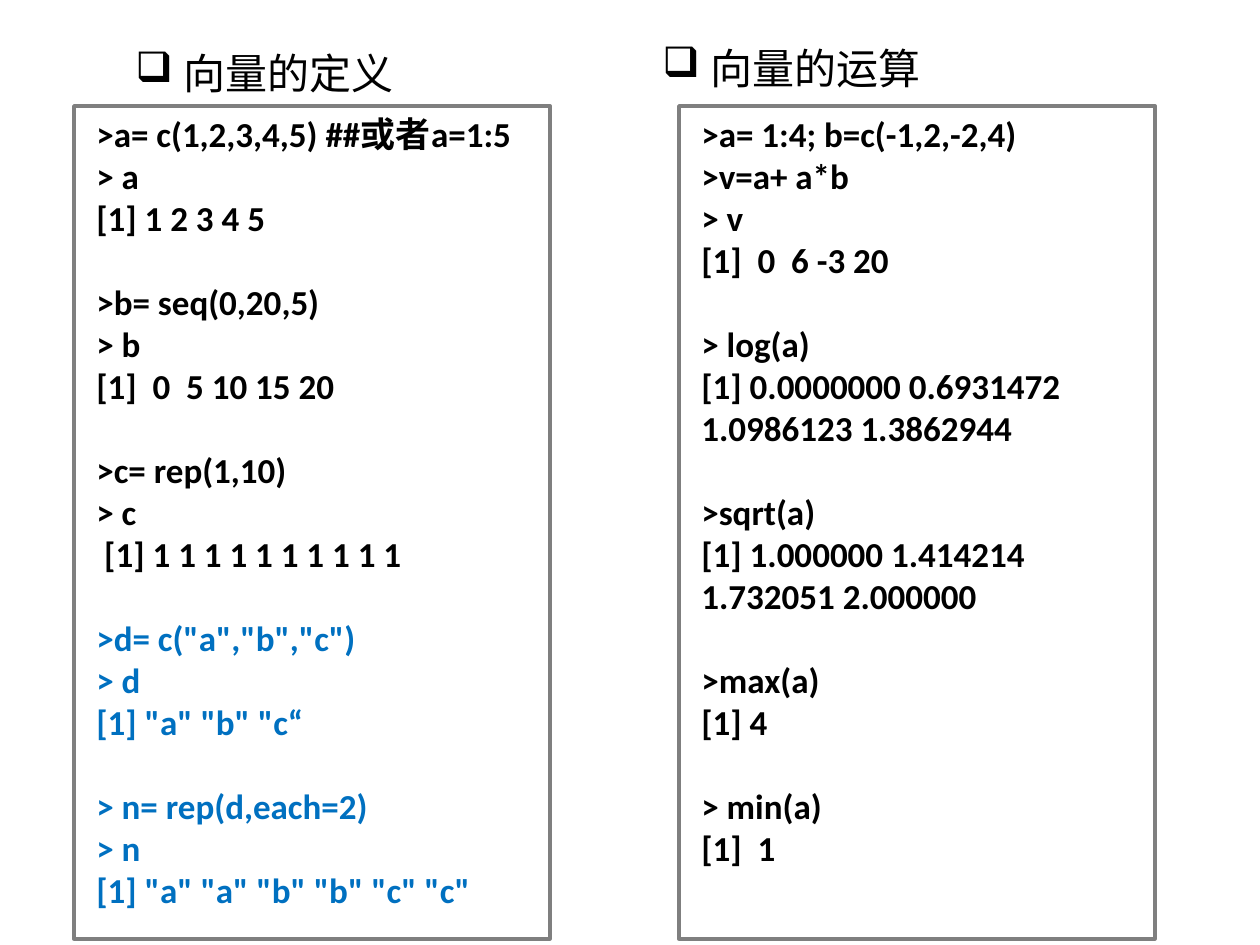
"""Build a slide that pairs vector definitions with vector operations in R."""
from dataclasses import dataclass

from lxml import etree
from pptx import Presentation
from pptx import util as u
from pptx.dml.color import RGBColor
from pptx.enum import shapes, text
from pptx.oxml.ns import qn

EMU_PER_PX = 914400 / 126
COLORS = {"ink": "000000", "accent": "0070C0", "frame": "7F7F7F"}
CODE_FORMAT = {"name": "Calibri", "size": u.Pt(20), "bold": True}
HEADING_FORMAT = {"name": "Courier New", "size": u.Pt(24), "bold": False}
GROUP_GAP = u.Pt(24)
FRAME_TOP, FRAME_WIDTH, FRAME_HEIGHT = 106, 476, 833
CODE_OFFSET = 10
HEADING_WIDTH, HEADING_HEIGHT, HEADING_INDENT = 446, 93, 48


@dataclass
class Group:
    lines: list[str]
    color: str = "ink"


@dataclass
class Panel:
    heading: str
    heading_left: int
    heading_top: int
    frame_left: int
    code_height: int
    groups: list[Group]


PANELS = [
    Panel("向量的定义", 123, 11, 74, 811, [
        Group([">a= c(1,2,3,4,5) ##或者a=1:5", "> a", "[1] 1 2 3 4 5"]),
        Group([">b= seq(0,20,5)", "> b", "[1]  0  5 10 15 20"]),
        Group([">c= rep(1,10)", "> c", " [1] 1 1 1 1 1 1 1 1 1 1"]),
        Group(['>d= c("a","b","c")', "> d", '[1] "a" "b" "c“'], "accent"),
        Group(["> n= rep(d,each=2)", "> n", '[1] "a" "a" "b" "b" "c" "c"'], "accent"),
    ]),
    Panel("向量的运算", 650, 6, 679, 770, [
        Group([">a= 1:4; b=c(-1,2,-2,4)", ">v=a+ a*b", "> v", "[1]  0  6 -3 20"]),
        Group(["> log(a)", "[1] 0.0000000 0.6931472 1.0986123 1.3862944"]),
        Group([">sqrt(a)", "[1] 1.000000 1.414214 1.732051 2.000000"]),
        Group([">max(a)", "[1] 4"]),
        Group(["> min(a)", "[1]  1"]),
    ]),
]


def px(length: int) -> u.Emu:
    return u.Emu(round(length * EMU_PER_PX))


def rgb(color: str) -> RGBColor:
    return RGBColor.from_string(COLORS[color])


def add_text_frame(slide, left: int, top: int, width: int, height: int):
    shape = slide.shapes.add_textbox(px(left), px(top), px(width), px(height))
    frame = shape.text_frame
    frame.word_wrap = True
    frame.auto_size = text.MSO_AUTO_SIZE.SHAPE_TO_FIT_TEXT
    return frame


def write(paragraph, words: str, formats: dict, color: str) -> None:
    run = paragraph.add_run()
    run.text = words
    for name, value in formats.items():
        setattr(run.font, name, value)
    run.font.color.rgb = rgb(color)


def add_bullet(paragraph, character: str) -> None:
    properties = paragraph._p.get_or_add_pPr()
    properties.set("marL", str(px(HEADING_INDENT)))
    properties.set("indent", str(-px(HEADING_INDENT)))
    bullet_color = etree.SubElement(properties, qn("a:buClr"))
    etree.SubElement(bullet_color, qn("a:srgbClr"), val=COLORS["ink"])
    etree.SubElement(properties, qn("a:buChar"), char=character)


def add_code(slide, panel: Panel) -> None:
    frame = add_text_frame(slide, panel.frame_left + CODE_OFFSET, FRAME_TOP,
                           FRAME_WIDTH, panel.code_height)
    paragraph = frame.paragraphs[0]
    for group_index, group in enumerate(panel.groups):
        for line_index, line in enumerate(group.lines):
            if group_index or line_index:
                paragraph = frame.add_paragraph()
            if group_index and not line_index:
                paragraph.space_before = GROUP_GAP
            write(paragraph, line, CODE_FORMAT, group.color)


def add_frame(slide, panel: Panel) -> None:
    shape = slide.shapes.add_shape(
        shapes.MSO_SHAPE.RECTANGLE, px(panel.frame_left), px(FRAME_TOP),
        px(FRAME_WIDTH), px(FRAME_HEIGHT))
    shape.shadow.inherit = False
    shape.fill.background()
    shape.line.color.rgb = rgb("frame")
    shape.line.width = u.Pt(2)


def add_heading(slide, panel: Panel) -> None:
    frame = add_text_frame(slide, panel.heading_left, panel.heading_top,
                           HEADING_WIDTH, HEADING_HEIGHT)
    paragraph = frame.paragraphs[0]
    add_bullet(paragraph, "❑")
    paragraph.line_spacing = 1.6
    write(paragraph, panel.heading, HEADING_FORMAT, "ink")


def main() -> None:
    presentation = Presentation()
    presentation.slide_width, presentation.slide_height = px(1260), px(945)
    slide = presentation.slides.add_slide(presentation.slide_layouts[6])
    for panel in PANELS:
        add_code(slide, panel)
        add_frame(slide, panel)
        add_heading(slide, panel)
    presentation.save("out.pptx")


if __name__ == "__main__":
    main()
